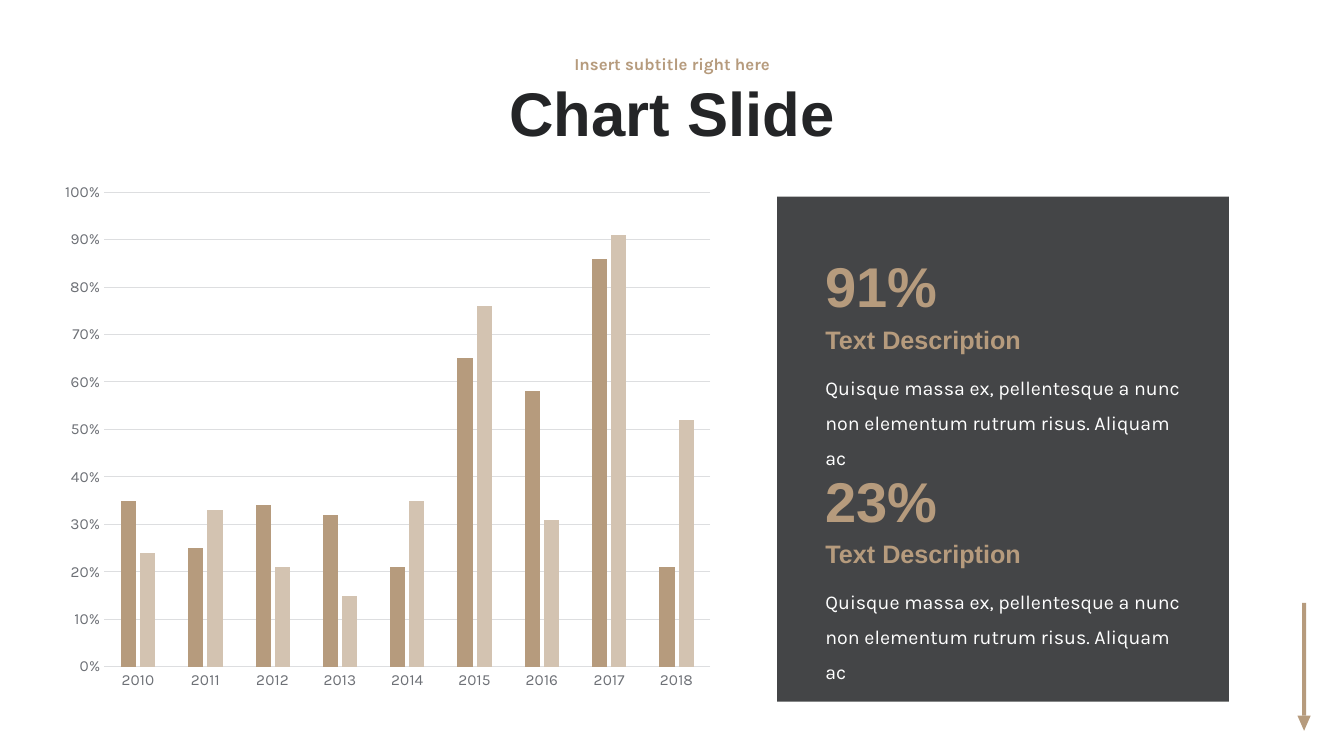
from lxml import etree
from pptx import Presentation
from pptx.chart.data import CategoryChartData
from pptx.dml.color import RGBColor
from pptx.enum.chart import XL_CHART_TYPE as ChartType, XL_TICK_MARK as TickMark
from pptx.enum.shapes import MSO_SHAPE as Shape
from pptx.enum.text import MSO_ANCHOR as Anchor, PP_ALIGN as Align
from pptx.oxml import parse_xml
from pptx.oxml.ns import nsdecls, qn
from pptx.util import Pt

TAN = "B69B7D"
LIGHT_TAN = "D3C3B1"
DARK = "242527"
GRAY = "6D7076"
GRID = "DDDEE0"
WHITE = "FFFFFF"
HEADING_FONT = "Arial"
BODY_FONT = "Karla"

YEARS = [str(year) for year in range(2010, 2019)]
SERIES = [
    ("Series 1", (0.35, 0.25, 0.34, 0.32, 0.21, 0.65, 0.58, 0.86, 0.21), TAN),
    ("Series 2", (0.24, 0.33, 0.21, 0.15, 0.35, 0.76, 0.31, 0.91, 0.52), LIGHT_TAN),
]
PLOT_LAYOUT = {"x": 0.088, "y": 0.018, "w": 0.888, "h": 0.877}
DESCRIPTION = "Quisque massa ex, pellentesque a nunc non elementum rutrum risus. Aliquam ac"
STATS = [
    ("91%", "Text Description", DESCRIPTION),
    ("23%", "Text Description", DESCRIPTION),
]


def color(hex_string):
    return RGBColor.from_string(hex_string)


def set_font(font, name, size, hex_string, bold=False):
    font.name = name
    font.size = Pt(size)
    font.bold = bold
    font.color.rgb = color(hex_string)


def add_text(slide, box, text, font_name, size, hex_string, bold=False,
             align=Align.LEFT, anchor=Anchor.TOP, spacing=1.0):
    shape = slide.shapes.add_textbox(*map(Pt, box))
    frame = shape.text_frame
    frame.word_wrap = True
    frame.vertical_anchor = anchor
    frame.text = text
    paragraph = frame.paragraphs[0]
    paragraph.alignment = align
    paragraph.line_spacing = spacing
    set_font(paragraph.runs[0].font, font_name, size, hex_string, bold)


def add_filled(slide, kind, box, hex_string):
    shape = slide.shapes.add_shape(kind, *map(Pt, box))
    shape.shadow.inherit = False
    shape.fill.solid()
    shape.fill.fore_color.rgb = color(hex_string)
    shape.line.fill.background()
    return shape


def add_header(slide, left, top, width):
    centered = {"bold": True, "align": Align.CENTER, "anchor": Anchor.MIDDLE, "spacing": 0.9}
    add_text(slide, (left, top + 13.7, width, 74.2), "Chart Slide",
             HEADING_FONT, 44, DARK, **centered)
    add_text(slide, (left, top, width, 27.4), "Insert subtitle right here",
             BODY_FONT, 12, TAN, **centered)


def set_plot_layout(chart):
    plot_area = chart._chartSpace.find(".//" + qn("c:plotArea"))
    for layout in plot_area.findall(qn("c:layout")):
        plot_area.remove(layout)
    layout = parse_xml(f"<c:layout {nsdecls('c')}><c:manualLayout/></c:layout>")
    settings = {"layoutTarget": "inner", "xMode": "edge", "yMode": "edge", **PLOT_LAYOUT}
    for name, value in settings.items():
        etree.SubElement(layout[0], qn(f"c:{name}")).set("val", str(value))
    plot_area.insert(0, layout)


def add_column_chart(slide, left, top, width, height):
    data = CategoryChartData(number_format="0%")
    data.categories = YEARS
    for name, values, _ in SERIES:
        data.add_series(name, values)
    chart = slide.shapes.add_chart(
        ChartType.COLUMN_CLUSTERED, *map(Pt, (left, top, width, height)), data).chart
    chart.has_legend = False
    chart.has_title = False
    set_font(chart.font, BODY_FONT, 11, DARK)
    set_plot_layout(chart)

    plot = chart.plots[0]
    plot.gap_width = 219
    plot.overlap = -27
    plot.vary_by_categories = False
    for series, (_, _, hex_string) in zip(plot.series, SERIES):
        series.format.fill.solid()
        series.format.fill.fore_color.rgb = color(hex_string)

    value_axis = chart.value_axis
    for axis in (chart.category_axis, value_axis):
        axis.major_tick_mark = axis.minor_tick_mark = TickMark.NONE
        set_font(axis.tick_labels.font, BODY_FONT, 11, GRAY)
    value_axis.minimum_scale = 0
    value_axis.maximum_scale = 1
    value_axis.major_unit = 0.1
    value_axis.tick_labels.number_format = "0%"
    value_axis.tick_labels.number_format_is_linked = False
    value_axis.format.line.fill.background()
    for line in (chart.category_axis.format.line, value_axis.major_gridlines.format.line):
        line.color.rgb = color(GRID)
        line.width = Pt(0.75)


def add_stat(slide, left, top, number, heading, description):
    add_text(slide, (left, top, 154.8, 55.4), number, HEADING_FONT, 40, TAN, bold=True)
    add_text(slide, (left, top + 51.5, 210.2, 28.8), heading, HEADING_FONT, 18, TAN, bold=True)
    add_text(slide, (left, top + 79.9, 267.8, 86), description,
             BODY_FONT, 14, WHITE, spacing=1.5)


def add_stats_panel(slide, left, top, width, height):
    panel = add_filled(slide, Shape.RECTANGLE, (left, top, width, height), DARK)
    fill_color = panel._element.spPr.find(".//" + qn("a:srgbClr"))
    etree.SubElement(fill_color, qn("a:alpha")).set("val", "85000")
    for index, stat in enumerate(STATS):
        add_stat(slide, left + 27.4, top + 36 + 153 * index, *stat)


def add_down_arrow(slide, left, top, width, height):
    shaft_width, head_height = 2.9, 10.8
    shaft_height = height - head_height
    shaft_left = left + (width - shaft_width) / 2
    add_filled(slide, Shape.RECTANGLE, (shaft_left, top, shaft_width, shaft_height), TAN)
    head = add_filled(slide, Shape.ISOSCELES_TRIANGLE,
                      (left, top + shaft_height, width, head_height), TAN)
    head.rotation = 180


def main():
    presentation = Presentation()
    presentation.slide_width = Pt(960)
    presentation.slide_height = Pt(540)
    slide = presentation.slides.add_slide(presentation.slide_layouts[6])
    add_down_arrow(slide, 926.8, 430.6, 9.4, 91.4)
    add_stats_panel(slide, 555.1, 140.4, 322.6, 360.7)
    add_header(slide, 210.2, 32.4, 540)
    add_column_chart(slide, 31.7, 130.3, 487.4, 386.6)
    presentation.save("out.pptx")


if __name__ == "__main__":
    main()
